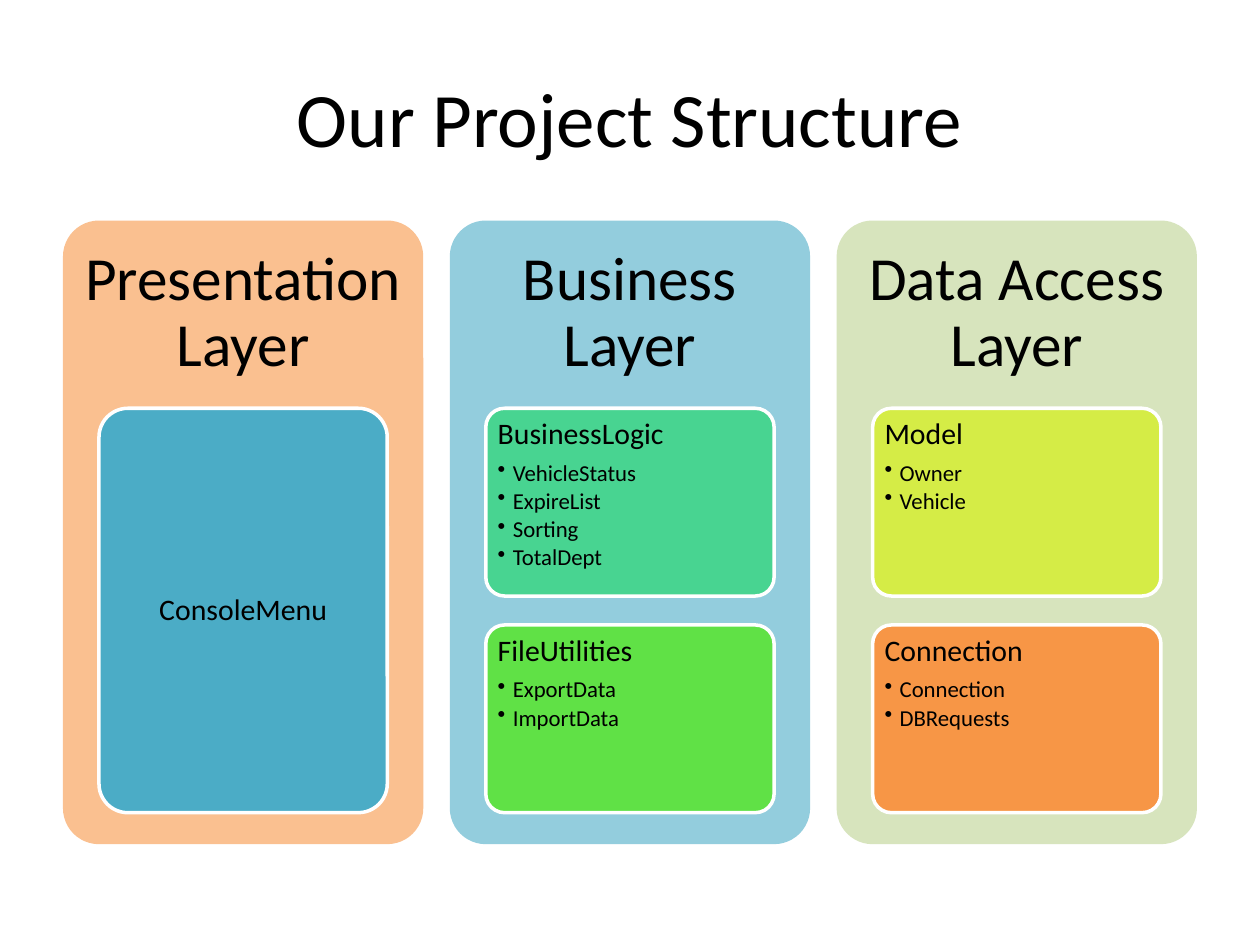
from lxml.etree import SubElement
from pptx import Presentation
from pptx.dml.color import RGBColor
from pptx.enum.shapes import MSO_SHAPE
from pptx.enum.text import MSO_ANCHOR, PP_ALIGN
from pptx.oxml.ns import qn
from pptx.util import Inches, Pt

COLORS = {
    "ink": "000000", "outline": "FFFFFF",
    "peach": "FAC090", "sky": "93CDDD", "sage": "D7E4BD",
    "teal": "4BACC6", "mint": "48D491", "green": "60E146",
    "lime": "D5EC46", "orange": "F79646",
}

LAYERS = [
    ("Presentation Layer", "peach", [("ConsoleMenu", "teal", [])]),
    ("Business Layer", "sky", [
        ("BusinessLogic", "mint", ["VehicleStatus", "ExpireList", "Sorting", "TotalDept"]),
        ("FileUtilities", "green", ["ExportData", "ImportData"]),
    ]),
    ("Data Access Layer", "sage", [
        ("Model", "lime", ["Owner", "Vehicle"]),
        ("Connection", "orange", ["Connection", "DBRequests"]),
    ]),
]


def write(paragraph, text, size, align=PP_ALIGN.LEFT, after=None, spacing=0.9, bullet=False):
    paragraph.alignment = align
    paragraph.line_spacing = spacing
    if after is not None:
        paragraph.space_after = Pt(round(size * after))
    run = paragraph.add_run()
    run.text = text
    run.font.size = Pt(size)
    run.font.name = "Calibri"
    run.font.color.rgb = RGBColor.from_string(COLORS["ink"])
    if bullet:
        paragraph.level = 1
        properties = paragraph._p.get_or_add_pPr()
        properties.set("marL", str(Inches(0.12)))
        properties.set("indent", str(-Inches(0.12)))
        SubElement(properties, qn("a:buChar")).set("char", "•")


class LayerDiagram:
    """Draws architecture layers as columns holding rows of modules."""

    left, top, width, height, pitch = 0.5, 1.75, 2.86, 4.95, 3.07
    header = 1.48
    module_height, module_pitch = 1.49, 1.72
    corner = 0.1

    def __init__(self, presentation):
        self.slide = presentation.slides.add_slide(presentation.slide_layouts[5])

    def title(self, text):
        title = self.slide.shapes.title
        title.left, title.top, title.width, title.height = map(Inches, (0.5, 0.3, 9, 1.25))
        title.text_frame.vertical_anchor = MSO_ANCHOR.MIDDLE
        write(title.text_frame.paragraphs[0], text, 44, PP_ALIGN.CENTER, spacing=1.0)

    def panel(self, area, color, outlined=False):
        panel = self.slide.shapes.add_shape(MSO_SHAPE.ROUNDED_RECTANGLE, *map(Inches, area))
        panel.adjustments[0] = self.corner
        panel.shadow.inherit = False
        panel.fill.solid()
        panel.fill.fore_color.rgb = RGBColor.from_string(COLORS[color])
        if outlined:
            panel.line.color.rgb = RGBColor.from_string(COLORS["outline"])
            panel.line.width = Pt(2)
        else:
            panel.line.fill.background()

    def label(self, area, text, size, side, end, centred, items=()):
        frame = self.slide.shapes.add_textbox(*map(Inches, area)).text_frame
        frame.word_wrap = True
        frame.margin_left = frame.margin_right = Inches(side)
        frame.margin_top = frame.margin_bottom = Inches(end)
        frame.vertical_anchor = MSO_ANCHOR.MIDDLE if centred else MSO_ANCHOR.TOP
        align = PP_ALIGN.CENTER if centred else PP_ALIGN.LEFT
        write(frame.paragraphs[0], text, size, align, after=0.35)
        for item in items:
            write(frame.add_paragraph(), item, 13, after=0.15, bullet=True)

    def layer(self, column, name, color):
        x = self.left + column * self.pitch
        self.panel((x, self.top, self.width, self.height), color)
        self.label((x, self.top, self.width, self.header), name, 35, 0.15, 0.15, True)

    def module(self, column, row, span, name, color, items):
        width = self.width * 0.8
        height = self.module_height + (span - 1) * self.module_pitch
        x = self.left + column * self.pitch + self.width * 0.1
        y = self.top + self.header + 0.01 + row * self.module_pitch
        self.panel((x, y, width, height), color, outlined=True)
        inset = 0.3 * self.corner * min(width, height)
        area = (x + inset, y + inset, width - 2 * inset, height - 2 * inset)
        self.label(area, name, 17, 0.05, 0.04, not items, items)


def main():
    presentation = Presentation()
    presentation.slide_width, presentation.slide_height = Inches(10), Inches(7.5)
    diagram = LayerDiagram(presentation)
    diagram.title("Our Project Structure")
    for column, (layer, color, modules) in enumerate(LAYERS):
        diagram.layer(column, layer, color)
        span = 2 // len(modules)
        for row, (module, fill, items) in enumerate(modules):
            diagram.module(column, row, span, module, fill, items)
    presentation.save("out.pptx")


if __name__ == "__main__":
    main()
